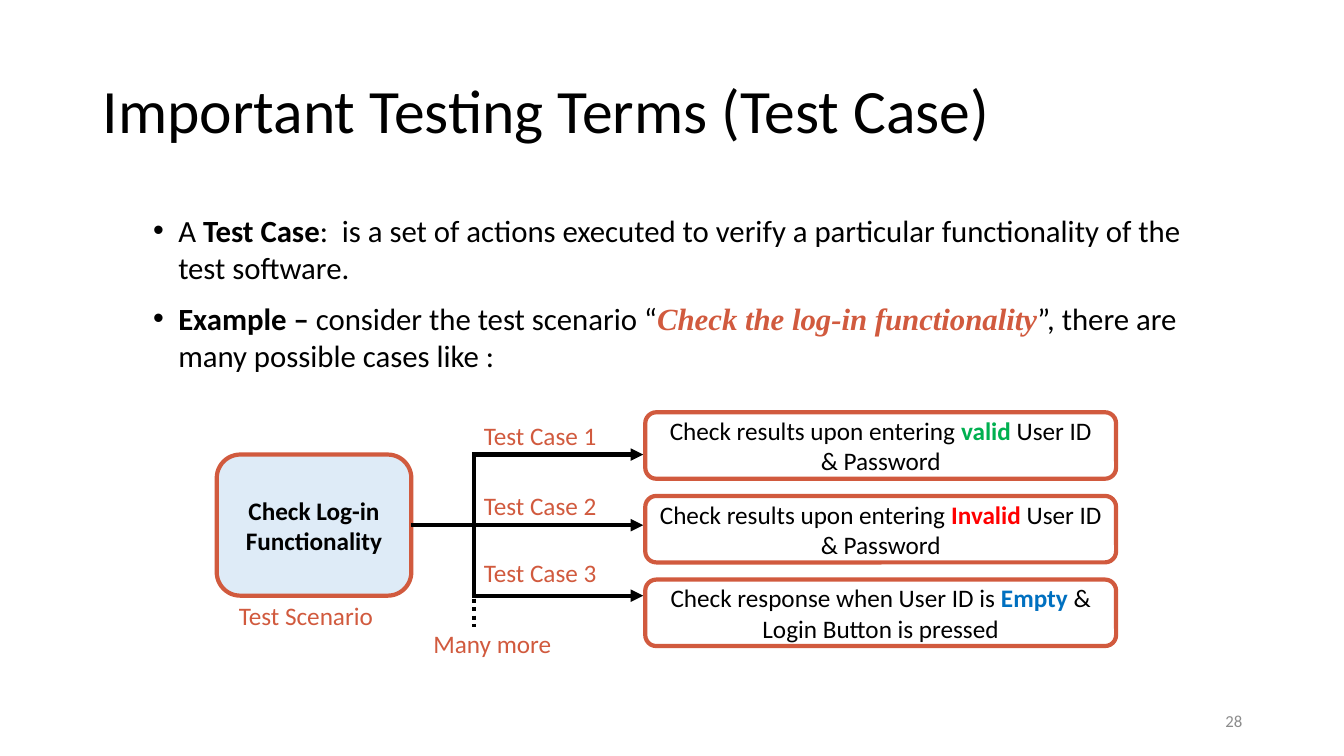
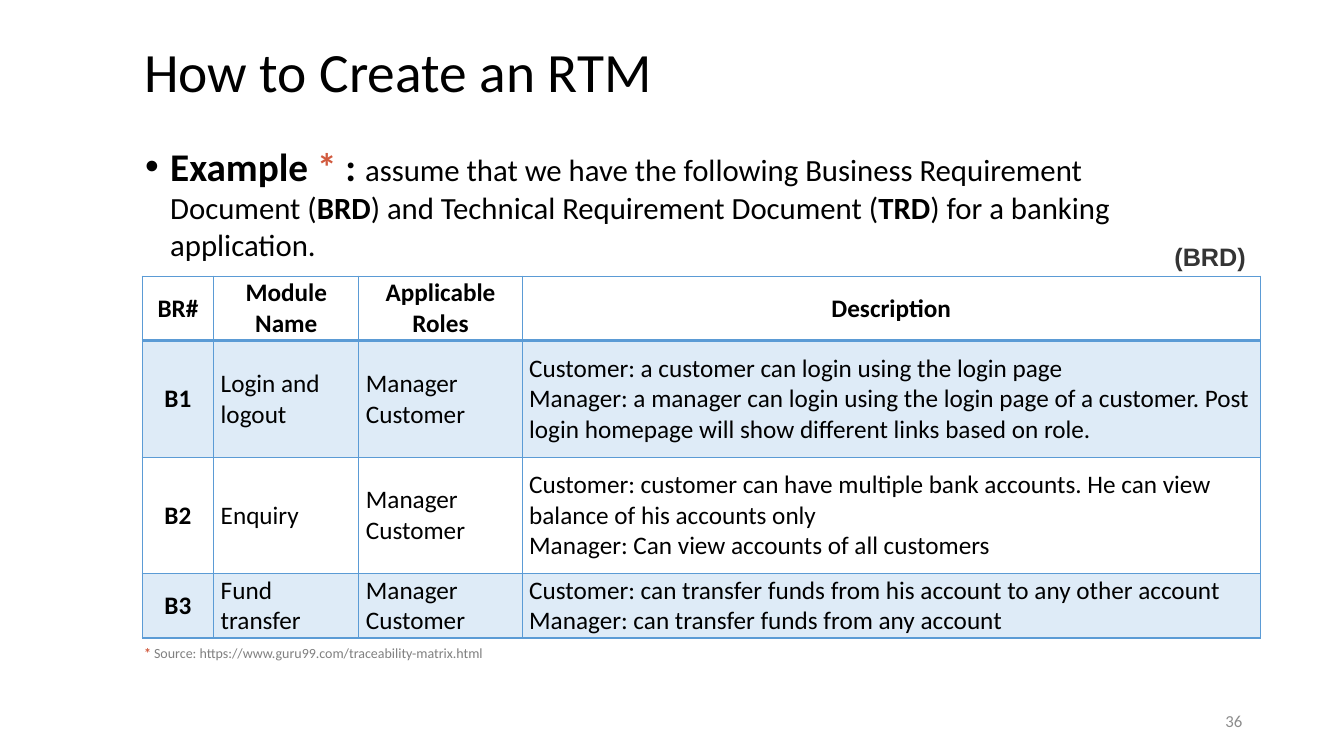
"""Build two software-testing slides: test cases and a requirements table."""
from dataclasses import dataclass, replace

from lxml import etree
from pptx import Presentation
from pptx.dml.color import RGBColor
from pptx.enum.dml import MSO_LINE
from pptx.enum.shapes import MSO_CONNECTOR, MSO_SHAPE
from pptx.enum.text import MSO_ANCHOR, PP_ALIGN
from pptx.oxml.ns import qn
from pptx.util import Emu, Pt

LEFT, CENTER, RIGHT = PP_ALIGN.LEFT, PP_ALIGN.CENTER, PP_ALIGN.RIGHT
TOP, MIDDLE = MSO_ANCHOR.TOP, MSO_ANCHOR.MIDDLE
ROUNDED, STRAIGHT = MSO_SHAPE.ROUNDED_RECTANGLE, MSO_CONNECTOR.STRAIGHT
DOTTED = MSO_LINE.ROUND_DOT

BLACK = RGBColor(0x00, 0x00, 0x00)
RUST = RGBColor(0xD1, 0x5A, 0x3E)
PALE_BLUE = RGBColor(0xDE, 0xEB, 0xF7)
BLUE = RGBColor(0x5B, 0x9B, 0xD5)
VALID_GREEN = RGBColor(0x00, 0xB0, 0x50)
INVALID_RED = RGBColor(0xFF, 0x00, 0x00)
EMPTY_BLUE = RGBColor(0x00, 0x70, 0xC0)
NUMBER_GRAY = RGBColor(0x8C, 0x8C, 0x8C)
SOURCE_GRAY = RGBColor(0x80, 0x80, 0x80)
DARK_GRAY = RGBColor(0x34, 0x34, 0x34)

EMU_PER_PX = 9144
LINE_WIDTH = Pt(3)
INDENT = 25


@dataclass(frozen=True)
class Run:
    """A piece of text with one format."""
    text: str
    size: float = 18
    color: RGBColor = BLACK
    bold: bool = False
    italic: bool = False
    font: str = "Calibri"


@dataclass(frozen=True)
class Box:
    """A rectangle in px."""
    x: int
    y: int
    w: int
    h: int

    def emu(self) -> tuple[Emu, ...]:
        """Return left, top, width and height in EMU."""
        return px(self.x), px(self.y), px(self.w), px(self.h)


@dataclass(frozen=True)
class TestCase:
    """One branch of the test scenario."""
    label: str
    label_y: int
    runs: tuple[Run, ...]


@dataclass(frozen=True)
class Requirement:
    """One row of the business requirement table."""
    number: str
    module: str
    roles: tuple[str, ...]
    description: tuple[str, ...]


Paragraphs = list[list[Run]]

CASES = [
    TestCase("Test Case 1", 412, (
        Run("Check results upon entering "), Run("valid", color=VALID_GREEN, bold=True),
        Run(" User ID & Password"))),
    TestCase("Test Case 2", 482, (
        Run("Check results upon entering "), Run("Invalid", color=INVALID_RED, bold=True),
        Run(" User ID & Password"))),
    TestCase("Test Case 3", 548, (
        Run("Check response when User ID is "), Run("Empty ", color=EMPTY_BLUE, bold=True),
        Run("& Login Button is pressed"))),
]

HEADERS = ["BR#", "Module Name", "Applicable Roles", "Description"]
COLUMN_WIDTHS = [71, 144, 162, 732]
ROW_HEIGHTS = [64, 116, 115, 64]
ROLES = ("Manager", "Customer")
REQUIREMENTS = [
    Requirement("B1", "Login and logout", ROLES, (
        "Customer: a customer can login using the login page",
        "Manager: a manager can login using the login page of a customer. "
        "Post login homepage will show different links based on role.")),
    Requirement("B2", "Enquiry", ROLES, (
        "Customer: customer can have multiple bank accounts. "
        "He can view balance of his accounts only",
        "Manager: Can view accounts of all customers")),
    Requirement("B3", "Fund transfer", ROLES, (
        "Customer: can transfer funds from his account to any other account",
        "Manager: can transfer funds from any account")),
]


def px(n: int) -> Emu:
    """Turn px into EMU."""
    return Emu(n * EMU_PER_PX)


def add_bullet(p) -> None:
    """Give a paragraph a hanging round bullet."""
    pPr = p._p.get_or_add_pPr()
    pPr.set("marL", str(px(INDENT)))
    pPr.set("indent", str(-px(INDENT)))
    etree.SubElement(pPr, qn("a:buFont")).set("typeface", "Arial")
    etree.SubElement(pPr, qn("a:buChar")).set("char", "•")


def write(tf, paragraphs: Paragraphs, align=LEFT, bullets: bool = False) -> None:
    """Fill a text frame run by run."""
    tf.word_wrap = True
    for i, runs in enumerate(paragraphs):
        p = tf.add_paragraph() if i else tf.paragraphs[0]
        p.alignment = align
        if bullets:
            add_bullet(p)
            if i:
                p.space_before = Pt(10)
        for run in runs:
            r = p.add_run()
            r.text = run.text
            r.font.name, r.font.size = run.font, Pt(run.size)
            r.font.bold, r.font.italic = run.bold, run.italic
            r.font.color.rgb = run.color


def add_text(s, box: Box, paragraphs: Paragraphs, align=LEFT, anchor=TOP,
             bullets: bool = False) -> None:
    """Add a text box."""
    tf = s.shapes.add_textbox(*box.emu()).text_frame
    tf.vertical_anchor = anchor
    write(tf, paragraphs, align, bullets)


def add_label(s, x: int, y: int, w: int, text: str) -> None:
    """Add a one-line rust label."""
    add_text(s, Box(x, y, w, 40), [[Run(text, color=RUST)]])


def add_rounded_box(s, box: Box, runs: list[Run], fill: RGBColor | None = None) -> None:
    """Add a rust-outlined rounded box with centred text."""
    sp = s.shapes.add_shape(ROUNDED, *box.emu())
    sp.shadow.inherit = False
    if fill is None:
        sp.fill.background()
    else:
        sp.fill.solid()
        sp.fill.fore_color.rgb = fill
    sp.line.color.rgb, sp.line.width = RUST, LINE_WIDTH
    sp.text_frame.vertical_anchor = MIDDLE
    write(sp.text_frame, [runs], CENTER)


def add_line(s, x1: int, y1: int, x2: int, y2: int, arrow: bool = False,
             dash: MSO_LINE | None = None) -> None:
    """Add a black line, with an arrowhead or dashes if asked."""
    c = s.shapes.add_connector(STRAIGHT, px(x1), px(y1), px(x2), px(y2))
    c.line.color.rgb, c.line.width = BLACK, LINE_WIDTH
    if dash is not None:
        c.line.dash_style = dash
    if arrow:
        etree.SubElement(c.line._get_or_add_ln(), qn("a:tailEnd")).set("type", "triangle")
    etree.SubElement(c._element.spPr, qn("a:effectLst"))


def add_slide(prs, title: str, box: Box, size: float, number: int):
    """Add a titled and numbered slide."""
    s = prs.slides.add_slide(prs.slide_layouts[5])
    sp = s.shapes.title
    sp.left, sp.top, sp.width, sp.height = box.emu()
    tf = sp.text_frame
    tf.vertical_anchor = MIDDLE
    write(tf, [[Run(title, size)]])
    tf.paragraphs[0].line_spacing = 0.9
    add_text(s, Box(942, 695, 300, 40), [[Run(str(number), 12, NUMBER_GRAY)]], RIGHT, MIDDLE)
    return s


def set_borders(cell, bottom: float) -> None:
    """Draw the four blue borders of a cell."""
    tcPr = cell._tc.get_or_add_tcPr()
    for side, width in (("L", 1), ("R", 1), ("T", 1), ("B", bottom)):
        ln = etree.SubElement(tcPr, qn(f"a:ln{side}"), w=str(Pt(width)))
        solid = etree.SubElement(ln, qn("a:solidFill"))
        etree.SubElement(solid, qn("a:srgbClr"), val=str(BLUE))


def fill_cell(cell, lines: tuple[str, ...], heading: bool, header: bool, banded: bool) -> None:
    """Format one table cell and write its lines."""
    set_borders(cell, 2 if header else 1)
    if banded:
        cell.fill.solid()
        cell.fill.fore_color.rgb = PALE_BLUE
    else:
        cell.fill.background()
    cell.margin_left = cell.margin_right = px(7)
    cell.margin_top = cell.margin_bottom = 0
    cell.vertical_anchor = MIDDLE
    paragraphs = [[Run(line, bold=heading)] for line in lines]
    write(cell.text_frame, paragraphs, CENTER if heading else LEFT)


def add_requirements(s, x: int, y: int) -> None:
    """Add the business requirement table."""
    box = Box(x, y, sum(COLUMN_WIDTHS), sum(ROW_HEIGHTS))
    rows = [[(text,) for text in HEADERS]]
    rows += [[(q.number,), (q.module,), q.roles, q.description] for q in REQUIREMENTS]
    table = s.shapes.add_table(len(rows), len(HEADERS), *box.emu()).table
    table.first_row = table.horz_banding = False
    for column, width in zip(table.columns, COLUMN_WIDTHS):
        column.width = px(width)
    for i, (row, height) in enumerate(zip(rows, ROW_HEIGHTS)):
        table.rows[i].height = px(height)
        for j, lines in enumerate(row):
            fill_cell(table.cell(i, j), lines, i == 0 or j == 0, i == 0, i % 2 == 1)


def build_test_case(prs) -> None:
    """Build the test case slide."""
    s = add_slide(prs, "Important Testing Terms (Test Case)", Box(92, 40, 1150, 145), 44, 28)
    body = Run("", 22)
    strong = replace(body, bold=True)
    add_text(s, Box(142, 205, 1050, 456), [
        [replace(body, text="A "), replace(strong, text="Test Case"),
         replace(body, text=":  is a set of actions executed to verify a particular "
                            "functionality of the test software.")],
        [replace(strong, text="Example –"),
         replace(body, text=" consider the test scenario “"),
         Run("Check the log-in functionality", 22, RUST, True, True, "Times New Roman"),
         replace(body, text="”, there are many possible cases like :")],
    ], bullets=True)

    trunk_x, arrow_x, first_y, step = 470, 638, 451, 70
    scenario = Box(215, first_y, 193, 2 * step)
    add_rounded_box(s, scenario, [Run("Check Log-in Functionality", bold=True)], PALE_BLUE)
    add_label(s, 227, 591, 180, "Test Scenario")
    add_line(s, trunk_x, first_y, trunk_x, first_y + 2 * step)
    add_line(s, trunk_x, 594, trunk_x, 622, dash=DOTTED)
    add_label(s, 420, 618, 146, "Many more")
    for i, case in enumerate(CASES):
        y = first_y + i * step
        start_x = scenario.x + scenario.w if i == 1 else trunk_x - 2
        add_line(s, start_x, y, arrow_x, y, arrow=True)
        add_label(s, trunk_x, case.label_y, 159, case.label)
        add_rounded_box(s, Box(640, 409 + 83 * i, 467, 66), list(case.runs))


def build_rtm(prs) -> None:
    """Build the requirements table slide."""
    s = add_slide(prs, "How to Create an RTM", Box(133, 38, 1050, 71), 39.6, 36)
    add_text(s, Box(134, 136, 1050, 417), [[
        Run("Example", 28, bold=True), Run(" * ", 28, RUST, True), Run(": ", 28, bold=True),
        Run("assume that we have the following Business Requirement Document (", 22),
        Run("BRD", 22, bold=True), Run(") and Technical Requirement Document (", 22),
        Run("TRD", 22, bold=True), Run(") for a banking application.", 22),
    ]], bullets=True)
    add_requirements(s, 141, 274)
    add_text(s, Box(133, 633, 982, 30), [[
        Run("*", 10, RUST, True),
        Run(" Source: https://www.guru99.com/traceability-matrix.html", 10, SOURCE_GRAY),
    ]], anchor=MIDDLE)
    add_text(s, Box(1155, 234, 96, 40), [[Run("(BRD)", 18, DARK_GRAY, True, font="Arial")]])


def main() -> None:
    """Build and save the slides."""
    prs = Presentation()
    prs.slide_width, prs.slide_height = px(1333), px(750)
    build_test_case(prs)
    build_rtm(prs)
    prs.save("out.pptx")


if __name__ == "__main__":
    main()
